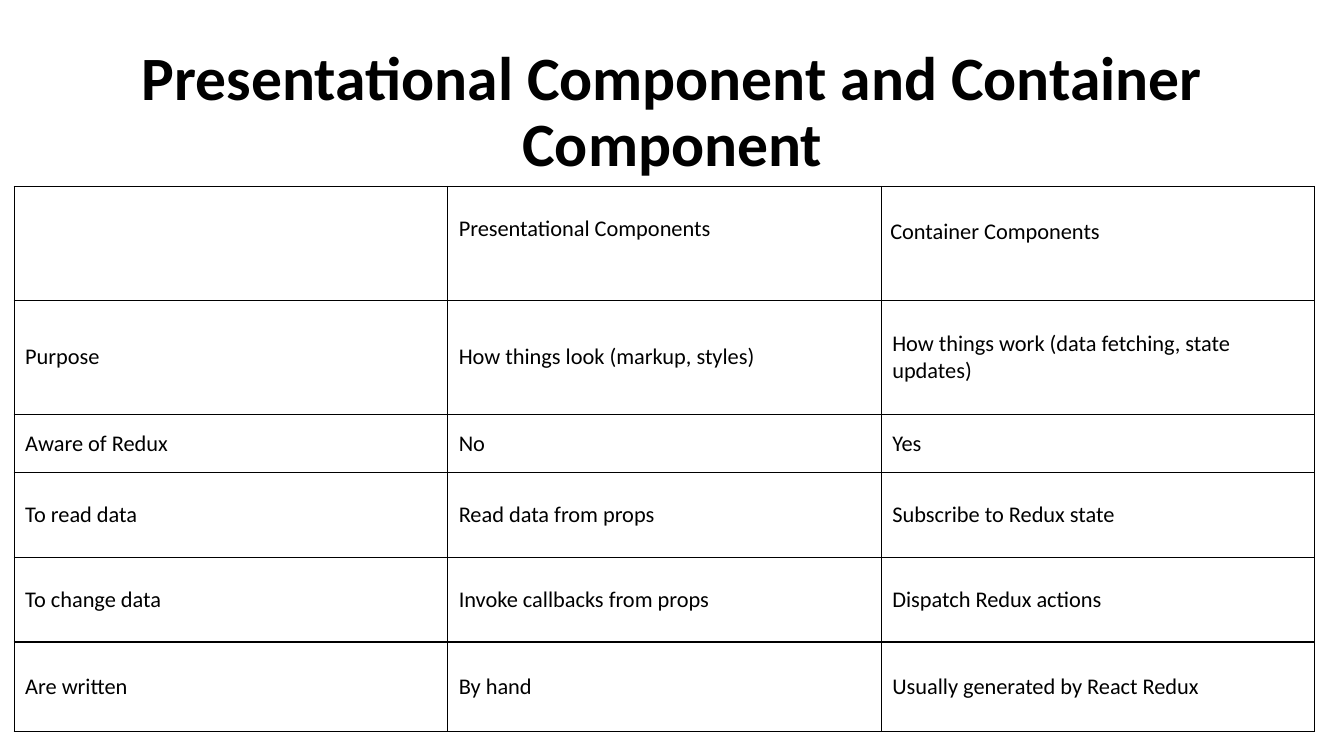
from lxml.etree import SubElement
from pptx import Presentation
from pptx.dml.color import RGBColor
from pptx.enum.text import MSO_ANCHOR, MSO_AUTO_SIZE, PP_ALIGN
from pptx.oxml.ns import qn
from pptx.util import Inches, Pt

BLACK = RGBColor(0, 0, 0)
WHITE = RGBColor(255, 255, 255)
FONT = "Calibri"
COLUMN_WIDTH = 4.3
ROW_HEIGHTS = [1.13, 1.13, 0.58, 0.84, 0.84, 0.89]
INSET = Inches(0.11)
COMPARISON = [
    ["", "Presentational Components", "Container Components"],
    ["Purpose", "How things look (markup, styles)", "How things work (data fetching, state updates)"],
    ["Aware of Redux", "No", "Yes"],
    ["To read data", "Read data from props", "Subscribe to Redux state"],
    ["To change data", "Invoke callbacks from props", "Dispatch Redux actions"],
    ["Are written", "By hand", "Usually generated by React Redux"],
]


def format_font(font, size, bold):
    font.name = FONT
    font.size = Pt(size)
    font.bold = bold
    font.color.rgb = BLACK


def add_borders(cell):
    properties = cell._tc.get_or_add_tcPr()
    for side in ("a:lnL", "a:lnR", "a:lnT", "a:lnB"):
        line = SubElement(properties, qn(side), w=str(Pt(1)))
        fill = SubElement(line, qn("a:solidFill"))
        SubElement(fill, qn("a:srgbClr"), val=str(BLACK))


presentation = Presentation()
presentation.slide_width = Inches(13.33)
presentation.slide_height = Inches(7.5)
slide = presentation.slides.add_slide(presentation.slide_layouts[5])

title = slide.shapes.title
title.left, title.top = Inches(0.92), Inches(0.4)
title.width, title.height = Inches(11.5), Inches(1.45)
title_frame = title.text_frame
title_frame.text = "Presentational Component and Container Component"
title_frame.word_wrap = True
title_frame.auto_size = MSO_AUTO_SIZE.NONE
title_frame.vertical_anchor = MSO_ANCHOR.MIDDLE
title_paragraph = title_frame.paragraphs[0]
title_paragraph.alignment = PP_ALIGN.CENTER
title_paragraph.line_spacing = 0.9
format_font(title_paragraph.runs[0].font, 44, True)

table = slide.shapes.add_table(
    len(COMPARISON), 3, Inches(0.14), Inches(1.85),
    Inches(3 * COLUMN_WIDTH), Inches(sum(ROW_HEIGHTS)),
).table
table.first_row = False
table.horz_banding = False
for column in table.columns:
    column.width = Inches(COLUMN_WIDTH)

for row, height, texts in zip(table.rows, ROW_HEIGHTS, COMPARISON):
    row.height = Inches(height)
    for cell, text in zip(row.cells, texts):
        add_borders(cell)
        cell.fill.solid()
        cell.fill.fore_color.rgb = WHITE
        cell.vertical_anchor = MSO_ANCHOR.MIDDLE
        cell.margin_left = cell.margin_right = INSET
        cell.margin_top = cell.margin_bottom = INSET
        cell.text = text
        for run in cell.text_frame.paragraphs[0].runs:
            format_font(run.font, 16, False)

presentational_header = table.cell(0, 1)
presentational_header.margin_bottom = Inches(0.39)

container_header = table.cell(0, 2)
container_header.vertical_anchor = MSO_ANCHOR.TOP
container_header.margin_left = container_header.margin_right = Inches(0.09)
container_header.margin_top = Inches(0.31)

presentation.save("out.pptx")
